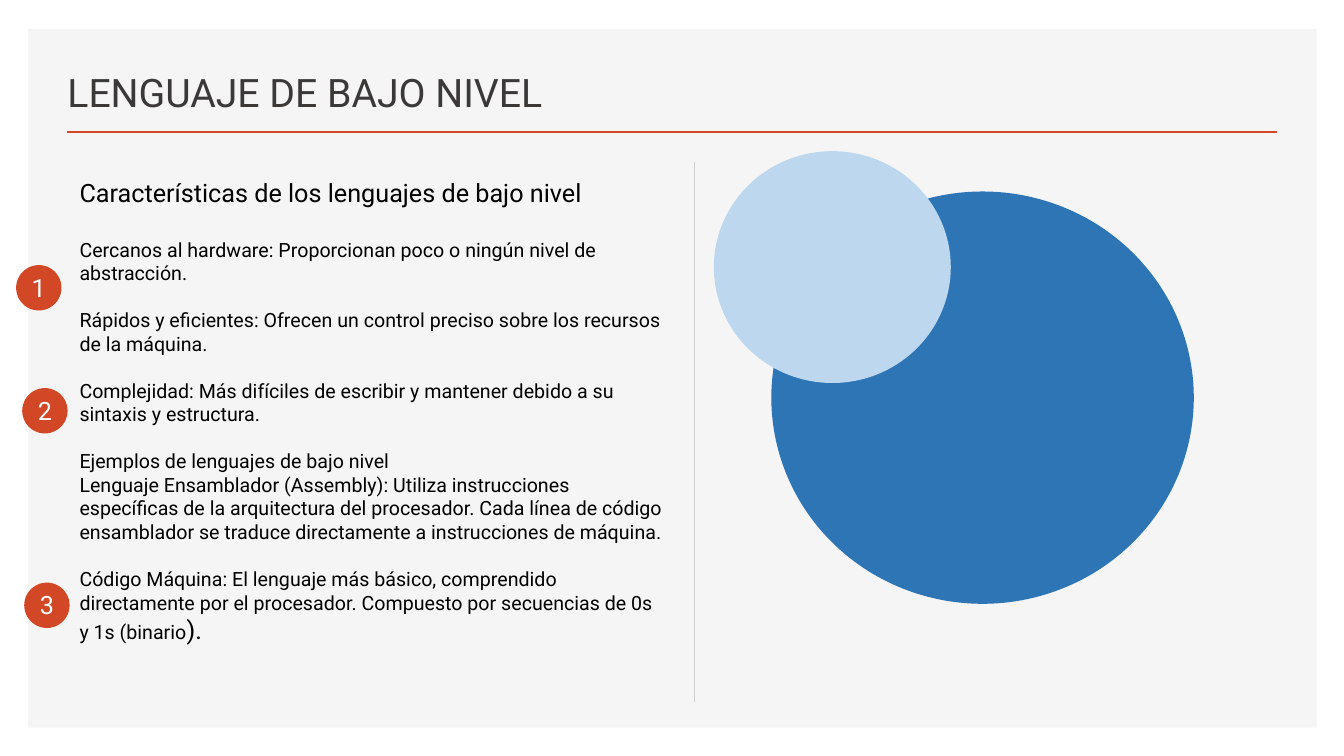
from pptx import Presentation
from pptx.dml.color import RGBColor
from pptx.enum.shapes import MSO_CONNECTOR as CONN, MSO_SHAPE as SHAPE
from pptx.enum.text import MSO_ANCHOR as ANCHOR, PP_ALIGN as ALIGN
from pptx.oxml.ns import qn
from pptx.util import Emu, Pt

PX = 9144  # 100 px to the inch
FONT = "Roboto"
COLORS = {
    "panel": "F5F5F5", "accent": "D24726", "divider": "D0CECE",
    "blue": "2E75B6", "light_blue": "BDD7EE",
    "title": "3B3838", "body": "000000", "white": "FFFFFF",
}

HEADING = "Características de los lenguajes de bajo nivel"
# Each entry: text, space before in points
BODY = [
    ("Cercanos al hardware: Proporcionan poco o ningún nivel de abstracción.", 21.4),
    ("Rápidos y eficientes: Ofrecen un control preciso sobre los recursos "
     "de la máquina.", 16.8),
    ("Complejidad: Más difíciles de escribir y mantener debido a su sintaxis "
     "y estructura.", 16.8),
    ("Ejemplos de lenguajes de bajo nivel", 16.8),
    ("Lenguaje Ensamblador (Assembly): Utiliza instrucciones específicas de la "
     "arquitectura del procesador. Cada línea de código ensamblador se traduce "
     "directamente a instrucciones de máquina.", 0),
    ("Código Máquina: El lenguaje más básico, comprendido directamente por el "
     "procesador. Compuesto por secuencias de 0s y 1s (binario", 16.8),
]
BADGES = [(16, 263), (22, 385), (24, 578)]


def px(*lengths):
    return [Emu(n * PX) for n in lengths]


def rgb(name):
    return RGBColor.from_string(COLORS[name])


def add_filled(shapes, kind, box, color):
    sp = shapes.add_shape(kind, *px(*box))
    sp.shadow.inherit = False
    sp.fill.solid()
    sp.fill.fore_color.rgb = rgb(color)
    sp.line.fill.background()
    return sp


def add_line(shapes, x1, y1, x2, y2, color, width):
    line = shapes.add_connector(CONN.STRAIGHT, *px(x1, y1, x2, y2))
    line.line.color.rgb = rgb(color)
    line.line.width = Pt(width)
    line._element.spPr.append(line._element.makeelement(qn("a:effectLst"), {}))


def add_run(p, text, size=14, color="body"):
    r = p.add_run()
    r.text = text
    r.font.name = FONT
    r.font.size = Pt(size)
    r.font.color.rgb = rgb(color)


def add_text(shapes, box, text, size=14, color="body", align=ALIGN.LEFT,
             anchor=ANCHOR.TOP):
    tf = shapes.add_textbox(*px(*box)).text_frame
    tf.word_wrap = True
    tf.vertical_anchor = anchor
    tf.paragraphs[0].alignment = align
    add_run(tf.paragraphs[0], text, size, color)
    return tf


def add_header(shapes, x, y, w, h):
    add_line(shapes, x + 9, y + h + 12, x + w, y + h + 12, "accent", 2)
    add_text(shapes, (x, y, 752, h), "LENGUAJE DE BAJO NIVEL", size=28,
             color="title", anchor=ANCHOR.BOTTOM)


def add_badge(shapes, x, y, size, number):
    group = shapes.add_group_shape().shapes
    add_filled(group, SHAPE.OVAL, (x, y, size, size), "accent")
    add_text(group, (x - 8, y + 2, size + 16, 40), str(number), size=18,
             color="white", align=ALIGN.CENTER)


def add_body(shapes, x, y, w, h):
    tf = add_text(shapes, (x, y, w, h), HEADING, size=18)
    for text, before in BODY:
        p = tf.add_paragraph()
        p.space_before = Pt(before)
        add_run(p, text)
    add_run(p, ").", size=18)


def add_circles(shapes, x, y, w, h):
    big_w, big_h = 419, 409
    add_filled(shapes, SHAPE.OVAL, (x + w - big_w, y + h - big_h, big_w, big_h), "blue")
    add_filled(shapes, SHAPE.OVAL, (x, y, 235, 230), "light_blue")


def main():
    prs = Presentation()
    prs.slide_width, prs.slide_height = px(1333, 750)
    s = prs.slides.add_slide(prs.slide_layouts[6])
    shapes = s.shapes

    # Background panel and title
    add_filled(shapes, SHAPE.RECTANGLE, (28, 29, 1278, 693), "panel")
    add_header(shapes, 57, 49, 1210, 70)

    # Numbered markers beside the text
    for number, (x, y) in enumerate(BADGES, 1):
        add_badge(shapes, x, y, 45, number)

    # Divider, circles and text column
    add_line(shapes, 689, 161, 689, 696, "divider", 0.75)
    add_circles(shapes, 708, 150, 476, 449)
    add_body(shapes, 69, 171, 598, 478)

    prs.save("out.pptx")


if __name__ == "__main__":
    main()
